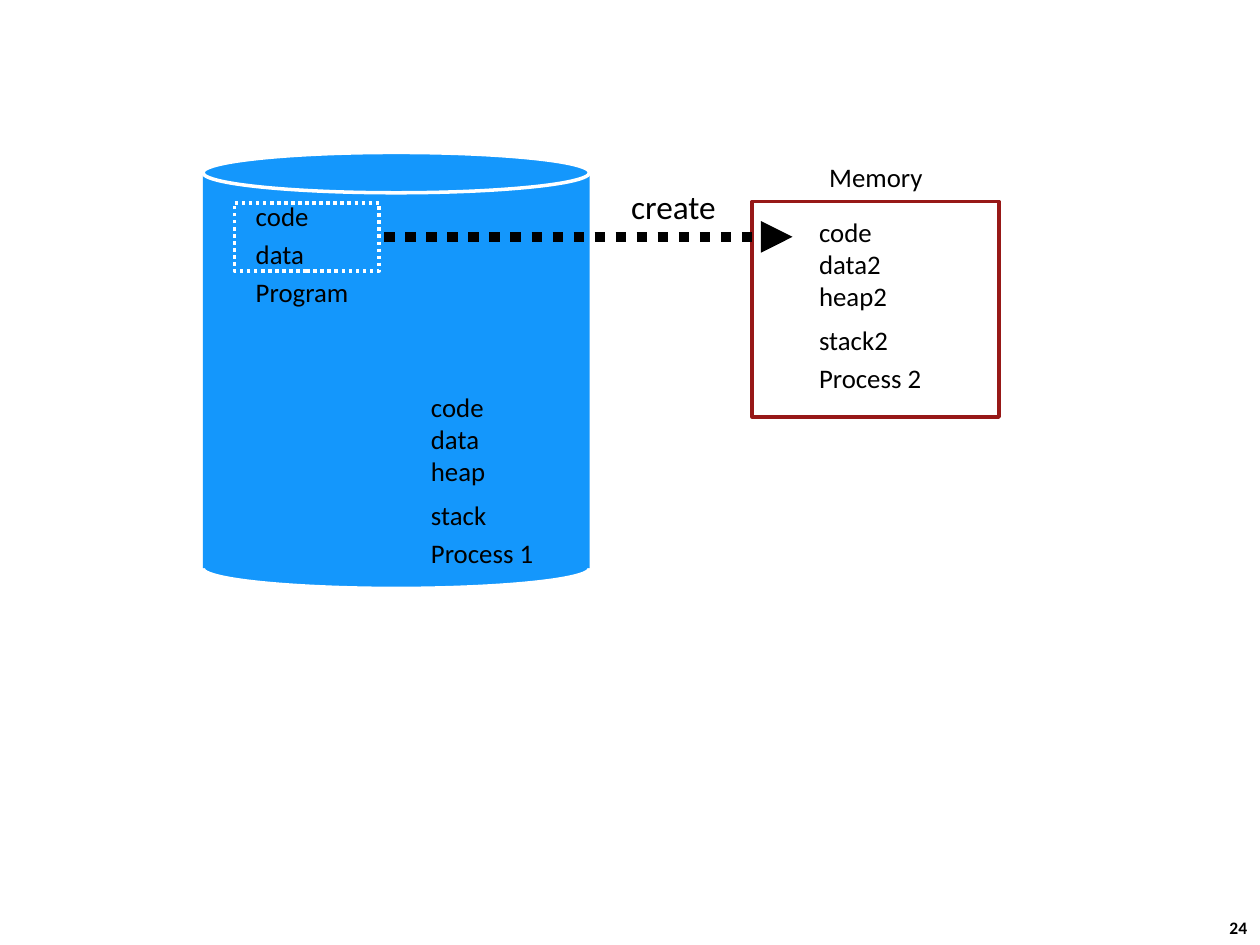
import pptx
import pptx.dml.color
import pptx.enum.dml
import pptx.enum.shapes
import pptx.enum.text
import pptx.oxml
import pptx.oxml.ns
import pptx.util

COLUMNS, ROWS = 100, 75
SLIDE_WIDTH = pptx.util.Inches(10)
SLIDE_HEIGHT = pptx.util.Inches(7.5)
FONT = "Calibri"
LABEL_SIZE = 15.3
COLORS = {
    "disk": "1497FC",
    "outline": "FFFFFF",
    "memory": "FFFFFF",
    "memory_border": "971817",
    "ink": "000000",
}
SHAPES = pptx.enum.shapes.MSO_SHAPE
DOTTED = pptx.enum.dml.MSO_LINE.ROUND_DOT  # written as sysDot


def color(name):
    return pptx.dml.color.RGBColor.from_string(COLORS[name])


def grid(column, row):
    return int(SLIDE_WIDTH * column / COLUMNS), int(SLIDE_HEIGHT * row / ROWS)


def add_figure(slide, kind, column, row, columns, rows, fill=None, line=None, dash=None):
    shape = slide.shapes.add_shape(kind, *grid(column, row), *grid(columns, rows))
    shape.shadow.inherit = False
    if fill:
        shape.fill.solid()
        shape.fill.fore_color.rgb = color(fill)
    else:
        shape.fill.background()
    if line:
        shape.line.color.rgb = color(line)
        shape.line.width = pptx.util.Pt(2)
        if dash:
            shape.line.dash_style = dash
    else:
        shape.line.fill.background()


def add_text(slide, column, row, columns, rows, lines, size=LABEL_SIZE, bold=False, inset=0.03):
    """Each line is (text, line spacing, points of space before)."""
    box = slide.shapes.add_textbox(*grid(column, row), *grid(columns, rows))
    frame = box.text_frame
    frame.word_wrap = False
    frame.auto_size = pptx.enum.text.MSO_AUTO_SIZE.SHAPE_TO_FIT_TEXT
    frame.vertical_anchor = pptx.enum.text.MSO_ANCHOR.MIDDLE
    frame.margin_left = frame.margin_right = pptx.util.Inches(inset)
    frame.margin_top = frame.margin_bottom = pptx.util.Inches(min(inset, 0.05))
    for index, (text, spacing, before) in enumerate(lines):
        paragraph = frame.paragraphs[0] if index == 0 else frame.add_paragraph()
        paragraph.text = text
        paragraph.line_spacing = spacing
        paragraph.space_before = pptx.util.Pt(before)
        paragraph.font.name = FONT
        paragraph.font.size = pptx.util.Pt(size)
        paragraph.font.bold = bold
        paragraph.font.color.rgb = color("ink")


def add_process(slide, column, row, number, suffix=""):
    lines = [
        ("code", 1.0, 0),
        (f"data{suffix}", 1.0, 0),
        (f"heap{suffix}", 1.0, 0),
        (f"stack{suffix}", 1.0, 6.5),
        (f"Process {number}", 1.2, 0),
    ]
    add_text(slide, column, row, 8.9, 14.6, lines)


def add_disk(slide, column, top, columns, body_rows, cap_rows):
    """Cylinder: a body between two elliptical caps, the upper cap in front."""
    middle = top + cap_rows / 2
    cap = {"fill": "disk", "line": "outline"}
    add_figure(slide, SHAPES.OVAL, column, top + body_rows, columns, cap_rows, **cap)
    add_figure(slide, SHAPES.RECTANGLE, column, middle, columns, body_rows, fill="disk")
    add_figure(slide, SHAPES.OVAL, column, top, columns, cap_rows, **cap)


def add_dotted_arrow(slide, start, end, row):
    connector = slide.shapes.add_connector(
        pptx.enum.shapes.MSO_CONNECTOR.STRAIGHT, *grid(start, row), *grid(end, row)
    )
    connector.line.color.rgb = color("ink")
    connector.line.width = pptx.util.Pt(6)
    connector.line.dash_style = DOTTED
    namespace = pptx.oxml.ns.nsdecls("a")
    line = connector.line._get_or_add_ln()
    line.append(pptx.oxml.parse_xml(f'<a:tailEnd {namespace} type="triangle"/>'))
    connector._element.spPr.append(pptx.oxml.parse_xml(f"<a:effectLst {namespace}/>"))


def main():
    presentation = pptx.Presentation()
    presentation.slide_width = SLIDE_WIDTH
    presentation.slide_height = SLIDE_HEIGHT
    slide = presentation.slides.add_slide(presentation.slide_layouts[6])

    add_text(slide, 96.6, 72.3, 3.7, 2.7, [("24", 1.0, 0)], size=10, bold=True, inset=0.1)

    add_disk(slide, 16.1, 12.1, 30.7, 31.4, 3.2)
    add_figure(slide, SHAPES.RECTANGLE, 59.7, 16, 19.6, 17.1, "memory", "memory_border")
    program = [("code", 0.8, 0), ("data", 1.2, 0), ("Program", 1.2, 0)]
    add_text(slide, 20, 16.1, 8, 8.6, program)
    add_figure(slide, SHAPES.RECTANGLE, 18.6, 16.1, 11.5, 5.4, line="outline", dash=DOTTED)

    add_text(slide, 65.5, 12.9, 8.1, 2.7, [("Memory", 0.8, 0)])
    add_process(slide, 33.9, 30.8, 1)
    add_process(slide, 64.7, 16.9, 2, suffix="2")

    add_dotted_arrow(slide, 30.5, 62.9, 18.8)
    add_text(slide, 49.8, 14.5, 7.4, 3.8, [("create", 1.0, 0)], size=19)

    presentation.save("out.pptx")


if __name__ == "__main__":
    main()
